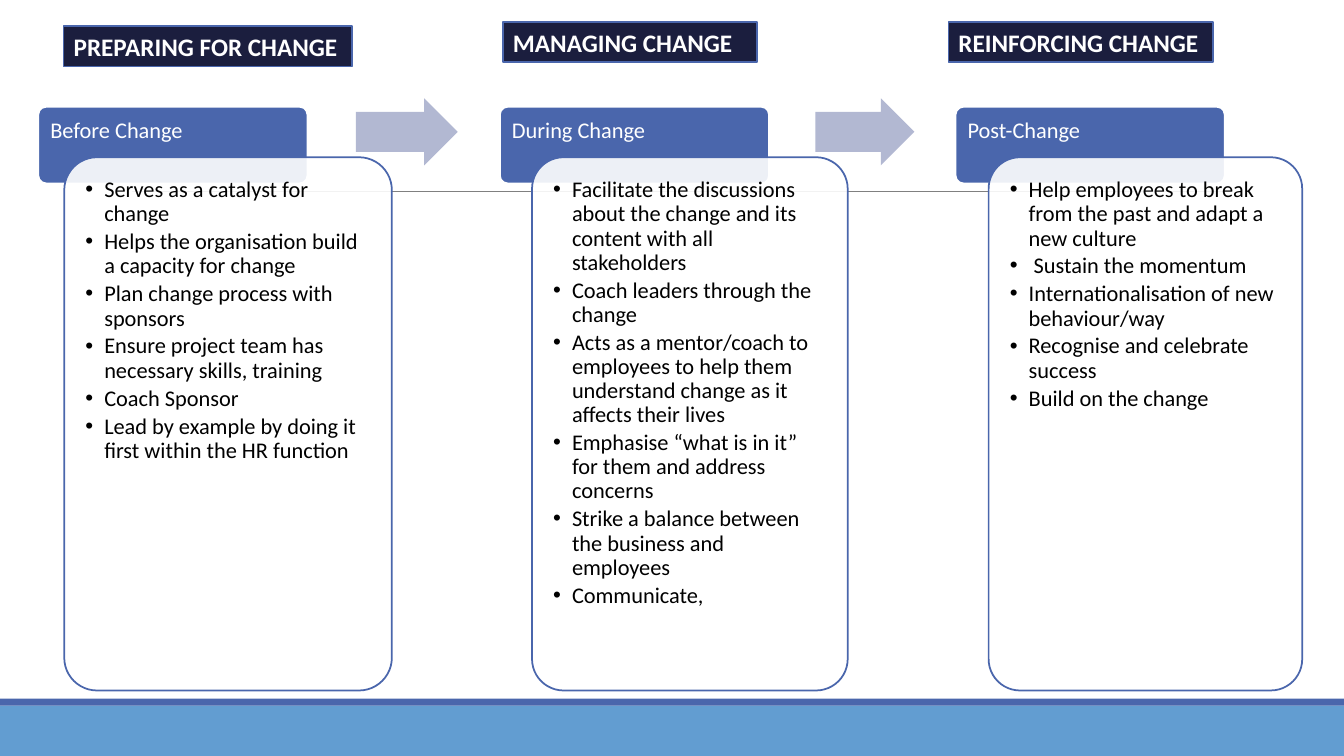
from pptx import Presentation
from pptx.dml.color import RGBColor
from pptx.enum.shapes import MSO_CONNECTOR, MSO_SHAPE
from pptx.enum.text import MSO_ANCHOR, MSO_AUTO_SIZE, PP_ALIGN
from pptx.oxml.ns import qn
from pptx.util import Pt
from lxml.etree import SubElement

COLORS = {
    "navy": "1B1E3E", "blue": "4A66AC", "sky": "629DD1", "arrow": "B2B8D2",
    "rule": "808080", "white": "FFFFFF", "black": "000000",
}

# heading, heading box, tab label, tab left, panel left, panel width, duties
PHASES = [
    ("PREPARING FOR CHANGE", (45.4, 18.7, 206, 28.8), "Before Change", 27.4, 45.9, 234, [
        "Serves as a catalyst for change",
        "Helps the organisation build a capacity for change",
        "Plan change process with sponsors",
        "Ensure project team has necessary skills, training",
        "Coach Sponsor",
        "Lead by example by doing it first within the HR function",
    ]),
    ("MANAGING CHANGE", (359.3, 15.8, 181.5, 28.8), "During Change", 357.1, 380, 225.5, [
        "Facilitate the discussions about the change and its content with all stakeholders",
        "Coach leaders through the change",
        "Acts as a mentor/coach to employees to help them understand change "
        "as it affects their lives",
        "Emphasise “what is in it” for them and address concerns",
        "Strike a balance between the business and employees",
        "Communicate,",
    ]),
    ("REINFORCING CHANGE", (677.5, 15.8, 188.7, 28.8), "Post-Change", 682.6, 706.2, 224, [
        "Help employees to break from the past and adapt a new culture",
        " Sustain the momentum",
        "Internationalisation of new behaviour/way",
        "Recognise and celebrate success",
        "Build on the change",
    ]),
]
ARROWS = [(254.2, 72.7), (582.5, 70.6)]  # left, width
PANEL_TOP, PANEL_HEIGHT, PANEL_PADDING = 112.3, 380.9, 6.5


class PhaseSlide:
    font = "Calibri"
    body_size = 16
    heading_size = 18
    outline = 1.25

    def __init__(self, slide):
        self.slide = slide

    def color(self, name):
        return RGBColor.from_string(COLORS[name])

    def place(self, shape, box):
        shape.left, shape.top, shape.width, shape.height = map(Pt, box)

    def paint(self, shape, fill, line=None):
        shape.fill.solid()
        shape.fill.fore_color.rgb = self.color(fill)
        if line:
            shape.line.color.rgb = self.color(line)
            shape.line.width = Pt(self.outline)
        else:
            shape.line.fill.background()

    def shape(self, kind, box, fill, line=None, adjustments=()):
        shape = self.slide.shapes.add_shape(kind, *map(Pt, box))
        shape.shadow.inherit = False
        self.paint(shape, fill, line)
        for position, value in enumerate(adjustments):
            shape.adjustments[position] = value
        return shape

    def frame(self, shape, inset_x, inset_y, anchor):
        frame = shape.text_frame
        frame.word_wrap = True
        frame.auto_size = MSO_AUTO_SIZE.NONE
        frame.vertical_anchor = anchor
        frame.margin_left = frame.margin_right = Pt(inset_x)
        frame.margin_top = frame.margin_bottom = Pt(inset_y)
        return frame

    def add_text(self, paragraph, text, size, color, bold=False):
        paragraph.alignment = PP_ALIGN.LEFT
        run = paragraph.add_run()
        run.text = text
        run.font.name = self.font
        run.font.size = Pt(size)
        run.font.bold = bold
        run.font.color.rgb = self.color(color)

    def rule(self, left, right, y):
        rule = self.slide.shapes.add_connector(
            MSO_CONNECTOR.STRAIGHT, Pt(left), Pt(y), Pt(right), Pt(y))
        rule.line.color.rgb = self.color("rule")
        rule.line.width = Pt(0.5)
        SubElement(rule._element.spPr, qn("a:effectLst"))

    def heading(self, text, box, title=None):
        """Fill the title placeholder if one is given, else draw a matching box."""
        if title is None:
            heading = self.shape(MSO_SHAPE.RECTANGLE, box, "navy", "blue")
        else:
            heading = title
            self.place(heading, box)
            self.paint(heading, "navy", "blue")
        frame = self.frame(heading, 7.2, 3.6, MSO_ANCHOR.MIDDLE)
        self.add_text(frame.paragraphs[0], text, self.heading_size, "white", bold=True)

    def tab(self, label, left):
        tab = self.shape(MSO_SHAPE.ROUNDED_RECTANGLE, (left, 76.3, 192.2, 54.7),
                         "blue", "white", [0.1])
        paragraph = self.frame(tab, 7, 7, MSO_ANCHOR.TOP).paragraphs[0]
        paragraph.line_spacing = 0.9
        self.add_text(paragraph, label, self.body_size, "white")

    def panel(self, left, width):
        panel = self.shape(MSO_SHAPE.ROUNDED_RECTANGLE,
                           (left, PANEL_TOP, width, PANEL_HEIGHT), "white", "blue", [0.1])
        fill_color = panel._element.spPr.find(qn("a:solidFill")).find(qn("a:srgbClr"))
        SubElement(fill_color, qn("a:alpha"), val="90000")

    def duties(self, placeholder, items, left, width):
        """Fill a body placeholder and bring it in front of its panel."""
        self.slide.shapes._spTree.append(placeholder._element)
        self.place(placeholder, (left + PANEL_PADDING, PANEL_TOP + PANEL_PADDING,
                                 width - 2 * PANEL_PADDING, PANEL_HEIGHT - 2 * PANEL_PADDING))
        frame = self.frame(placeholder, 8.6, 8.6, MSO_ANCHOR.TOP)
        for number, item in enumerate(items):
            paragraph = frame.add_paragraph() if number else frame.paragraphs[0]
            properties = paragraph._p.get_or_add_pPr()
            properties.set("marL", str(Pt(13.5)))
            properties.set("indent", str(-Pt(13.5)))
            SubElement(properties, qn("a:buFont"), typeface="Arial")
            SubElement(properties, qn("a:buChar"), char="•")
            paragraph.line_spacing = 0.9
            paragraph.space_before = Pt(0)
            paragraph.space_after = Pt(2.7)
            self.add_text(paragraph, item, self.body_size, "black")


def main():
    deck = Presentation()
    deck.slide_width, deck.slide_height = Pt(960), Pt(540)
    slide = deck.slides.add_slide(deck.slide_layouts.get_by_name("Comparison"))
    page = PhaseSlide(slide)
    title, *bodies = slide.placeholders
    spare = bodies.pop()
    spare._element.getparent().remove(spare._element)

    page.shape(MSO_SHAPE.RECTANGLE, (0, 504, 960, 36), "sky")
    page.shape(MSO_SHAPE.RECTANGLE, (0, 499, 960, 5), "blue")
    page.rule(94.3, 879, 136.8)

    for body, (heading, box, label, tab_left, left, width, items) in zip(bodies, PHASES):
        page.tab(label, tab_left)
        page.panel(left, width)
        page.duties(body, items, left, width)
        page.heading(heading, box, title)
        title = None

    for left, width in ARROWS:
        page.shape(MSO_SHAPE.RIGHT_ARROW, (left, 70.3, width, 47.8), "arrow",
                   adjustments=[0.6, 0.5])

    deck.save("out.pptx")


if __name__ == "__main__":
    main()
